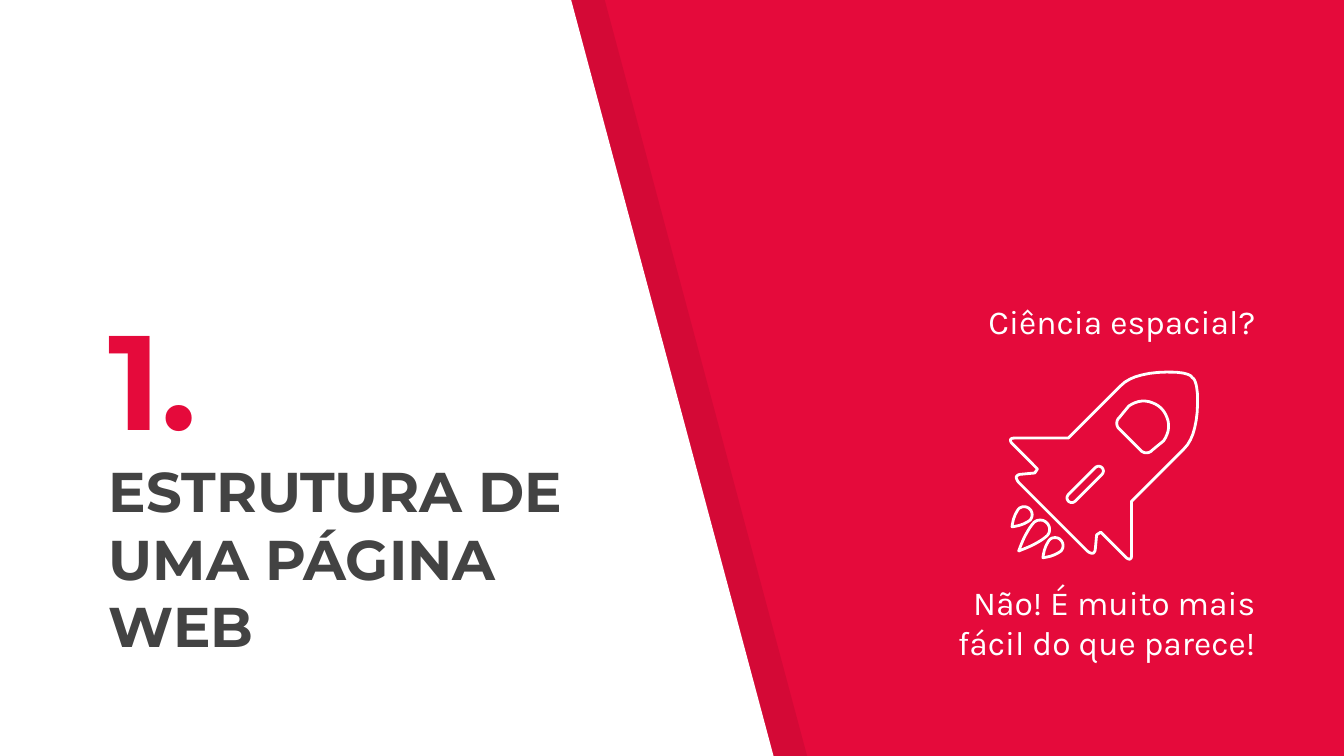
"""Build a section slide with a slanted white panel and a rocket line icon, symmetric about its flight axis."""
import math

import pptx
import pptx.dml.color
import pptx.enum.text
import pptx.oxml.ns
import pptx.util
from lxml import etree

Pt = pptx.util.Pt
RGB = pptx.dml.color.RGBColor
ALIGN = pptx.enum.text.PP_ALIGN
qn = pptx.oxml.ns.qn

RED = RGB(0xE5, 0x0A, 0x3B)
WHITE = RGB(0xFF, 0xFF, 0xFF)
BLACK = RGB(0, 0, 0)
GRAY = RGB(0x43, 0x43, 0x43)

UNIT = Pt(0.72)
FINENESS = 10
INSET = Pt(7.2)

TITLE = {
    "box": (51.1, 124.6, 277.2, 235.4), "font": "Montserrat", "bold": True, "align": ALIGN.LEFT,
    "lines": [("1.", 72, RED, 0), ("ESTRUTURA DE UMA PÁGINA WEB", 30, GRAY, 0)],
}
CAPTION = {
    "box": (475.2, 269.3, 204.5, 92.9), "font": "Karla", "bold": False, "align": ALIGN.RIGHT,
    "lines": [("Ciência espacial?", 18, WHITE, 0),
              ("Não! É muito mais fácil do que parece!", 18, WHITE, 129)],
}

PANEL = [(0, -1), (-1, 564), (576, 564), (425, 0)]
SHADE_SHIFT = 25

ROCKET_AXIS = 1168
FLAMES = [
    {"tip": (758, 410), "reach": 16, "bend": (14, -5), "radius": 7},
    {"tip": (776, 415), "reach": 9, "bend": (8, -1), "radius": 6},
    {"tip": (753, 392), "reach": 9, "bend": (8, -1), "radius": 6},
]


def curve(start, control, end, steps=8):
    """Return points on a quadratic curve."""
    ts = [i / steps for i in range(steps + 1)]
    return [tuple((1 - t) ** 2 * a + 2 * t * (1 - t) * b + t * t * c
                  for a, b, c in zip(start, control, end)) for t in ts]


def arc(center, radius, first, last, steps=10):
    """Return points on a circle between two angles, clockwise from the right."""
    angles = [math.radians(first + (last - first) * i / steps) for i in range(steps + 1)]
    return [(center[0] + radius * math.cos(a), center[1] + radius * math.sin(a)) for a in angles]


def mirrored(half, axis):
    """Complete a half outline by reflecting it in the line x + y = axis."""
    return half + [(axis - y, axis - x) for x, y in reversed(half)]


def hull():
    tail = curve((809, 410), (814, 414), (815, 409)) + [(816, 398), (819, 396)]
    fin = curve((838, 415), (842, 418), (842, 413)) + [(842, 373)]
    side = curve((881, 334), (892, 323), (891, 293))
    nose = curve((891, 293), (890, 282), (887, 281))
    return mirrored(tail + fin + side + nose, ROCKET_AXIS)


def slot():
    lower_end = arc((797.5, 370.5), 3.5, 135, 45)
    upper_end = arc((817.5, 350.5), 3.5, 45, -45)
    return mirrored(lower_end + upper_end, ROCKET_AXIS)


def window():
    corner = arc((853, 331), 6, 135, 45)
    dome = arc((851, 317), 18.5, 37, -45)
    return mirrored(corner + dome, ROCKET_AXIS)


def flame(tip, reach, bend, radius):
    x, y = tip
    head = arc((x + reach, y - reach), radius, 45, -45)
    side = curve(tip, (x + bend[0], y + bend[1]), head[0])
    return mirrored(side + head, x + y)


def add_outline(slide, *contours):
    fine = [[(x * FINENESS, y * FINENESS) for x, y in points] for points in contours]
    builder = slide.shapes.build_freeform(*fine[0][0], scale=UNIT / FINENESS)
    for points in fine:
        builder.move_to(*points[0])
        builder.add_line_segments(points[1:], close=True)
    sp = builder.convert_to_shape()
    sp.shadow.inherit = False
    return sp


def add_panel(slide, shift, color, opacity=100):
    sp = add_outline(slide, [(x + shift, y) for x, y in PANEL])
    sp.line.fill.background()
    sp.fill.solid()
    sp.fill.fore_color.rgb = color
    if opacity < 100:
        clr = sp._element.spPr.find(".//" + qn("a:srgbClr"))
        etree.SubElement(clr, qn("a:alpha"), val=str(opacity * 1000))


def add_icon_part(slide, *contours):
    sp = add_outline(slide, *contours)
    sp.fill.background()
    sp.line.color.rgb = WHITE
    sp.line.width = Pt(1.5)


def write_text(sp, block):
    sp.left, sp.top, sp.width, sp.height = map(Pt, block["box"])
    tf = sp.text_frame
    tf.word_wrap = True
    tf.auto_size = pptx.enum.text.MSO_AUTO_SIZE.NONE
    tf.vertical_anchor = pptx.enum.text.MSO_ANCHOR.BOTTOM
    tf.margin_left = tf.margin_right = tf.margin_top = tf.margin_bottom = INSET
    for i, (text, size, color, space_before) in enumerate(block["lines"]):
        p = tf.add_paragraph() if i else tf.paragraphs[0]
        p.alignment = block["align"]
        p.space_before = Pt(space_before)
        r = p.add_run()
        r.text = text
        r.font.name = block["font"]
        r.font.bold = block["bold"]
        r.font.size = Pt(size)
        r.font.color.rgb = color


def main():
    prs = pptx.Presentation()
    prs.slide_width, prs.slide_height = Pt(720), Pt(405)
    slide = prs.slides.add_slide(prs.slide_layouts[5])
    slide.background.fill.solid()
    slide.background.fill.fore_color.rgb = RED

    add_panel(slide, SHADE_SHIFT, BLACK, opacity=7)
    add_panel(slide, 0, WHITE)

    title = slide.shapes.title
    slide.shapes._spTree.append(title._element)
    write_text(title, TITLE)
    write_text(slide.shapes.add_textbox(0, 0, 0, 0), CAPTION)

    add_icon_part(slide, hull(), slot(), window())
    for shape in FLAMES:
        add_icon_part(slide, flame(**shape))

    prs.save("out.pptx")


if __name__ == "__main__":
    main()
